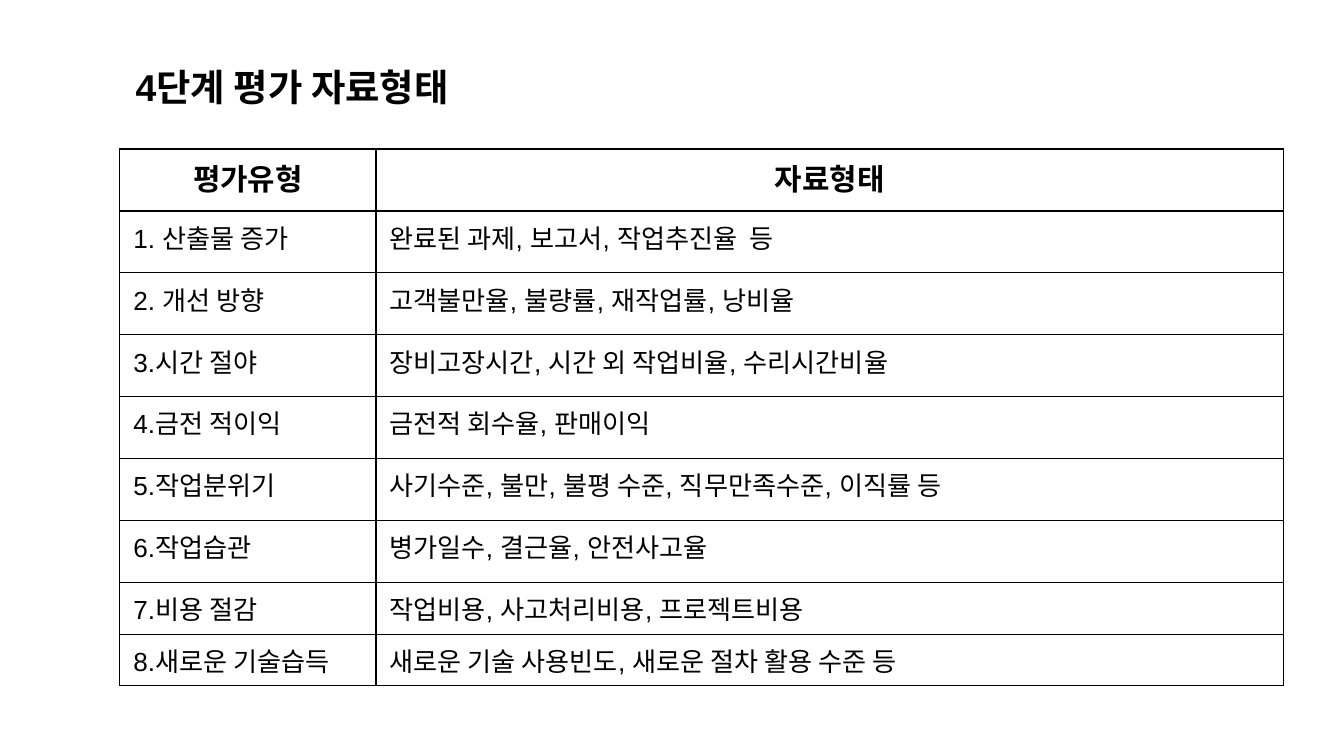
from lxml.etree import SubElement
from pptx import Presentation
from pptx.dml.color import RGBColor
from pptx.enum.text import MSO_ANCHOR, MSO_AUTO_SIZE, PP_ALIGN
from pptx.oxml.ns import qn
from pptx.util import Pt

BLACK = RGBColor(0x00, 0x00, 0x00)
FONT_NAME = "Arial"
BORDER_WIDTH = Pt(0.75)

HEADER = ("평가유형", "자료형태")
EVALUATIONS = [
    ("1. 산출물 증가", "완료된 과제, 보고서, 작업추진율  등"),
    ("2. 개선 방향", "고객불만율, 불량률, 재작업률, 낭비율"),
    ("3.시간 절야", "장비고장시간, 시간 외 작업비율, 수리시간비율"),
    ("4.금전 적이익", "금전적 회수율, 판매이익"),
    ("5.작업분위기", "사기수준, 불만, 불평 수준, 직무만족수준, 이직률 등"),
    ("6.작업습관", "병가일수, 결근율, 안전사고율"),
    ("7.비용 절감", "작업비용, 사고처리비용, 프로젝트비용"),
    ("8.새로운 기술습득", "새로운 기술 사용빈도, 새로운 절차 활용 수준 등"),
]
COLUMN_SHARES = (0.22, 0.78)
ROW_HEIGHTS = [33.2] * 7 + [27.4] * 2


def format_paragraph(paragraph, size, bold, alignment):
    """Set the font and alignment of a paragraph."""
    paragraph.alignment = alignment
    paragraph.font.name = FONT_NAME
    paragraph.font.size = Pt(size)
    paragraph.font.bold = bold
    paragraph.font.color.rgb = BLACK


def add_borders(cell):
    """Draw a thin line on all four sides of a cell."""
    properties = cell._tc.get_or_add_tcPr()
    for side in ("a:lnL", "a:lnR", "a:lnT", "a:lnB"):
        line = SubElement(properties, qn(side), w=str(BORDER_WIDTH))
        fill = SubElement(line, qn("a:solidFill"))
        SubElement(fill, qn("a:srgbClr"), val=str(BLACK))


def place_title(slide, text, left, top, width, height):
    """Move the title placeholder into its box and fill it."""
    title = slide.shapes.title
    title.left, title.top = Pt(left), Pt(top)
    title.width, title.height = Pt(width), Pt(height)
    frame = title.text_frame
    frame.text = text
    frame.word_wrap = False
    frame.auto_size = MSO_AUTO_SIZE.NONE
    frame.vertical_anchor = MSO_ANCHOR.TOP
    format_paragraph(frame.paragraphs[0], 20, True, PP_ALIGN.LEFT)


def place_table(slide, left, top, width):
    """Add the table of evaluation types within the given width."""
    rows = [HEADER, *EVALUATIONS]
    frame = slide.shapes.add_table(
        len(rows), len(HEADER), Pt(left), Pt(top), Pt(width), Pt(sum(ROW_HEIGHTS))
    )
    table = frame.table
    table.first_row = False
    table.horz_banding = False
    for column, share in zip(table.columns, COLUMN_SHARES):
        column.width = Pt(width * share)
    for row_index, texts in enumerate(rows):
        table.rows[row_index].height = Pt(ROW_HEIGHTS[row_index])
        is_header = row_index == 0
        size = 16 if is_header else 14
        alignment = PP_ALIGN.CENTER if is_header else PP_ALIGN.LEFT
        for column_index, text in enumerate(texts):
            cell = table.cell(row_index, column_index)
            cell.text = text
            add_borders(cell)
            cell.fill.background()
            format_paragraph(cell.text_frame.paragraphs[0], size, is_header, alignment)


def build_presentation():
    """Build the slide and save it."""
    presentation = Presentation()
    presentation.slide_width, presentation.slide_height = Pt(720), Pt(405)
    slide = presentation.slides.add_slide(presentation.slide_layouts[5])
    place_title(slide, "4단계 평가 자료형태", 65.5, 31, 210, 31.5)
    place_table(slide, 64.2, 79.8, 623.5)
    presentation.save("out.pptx")


build_presentation()
